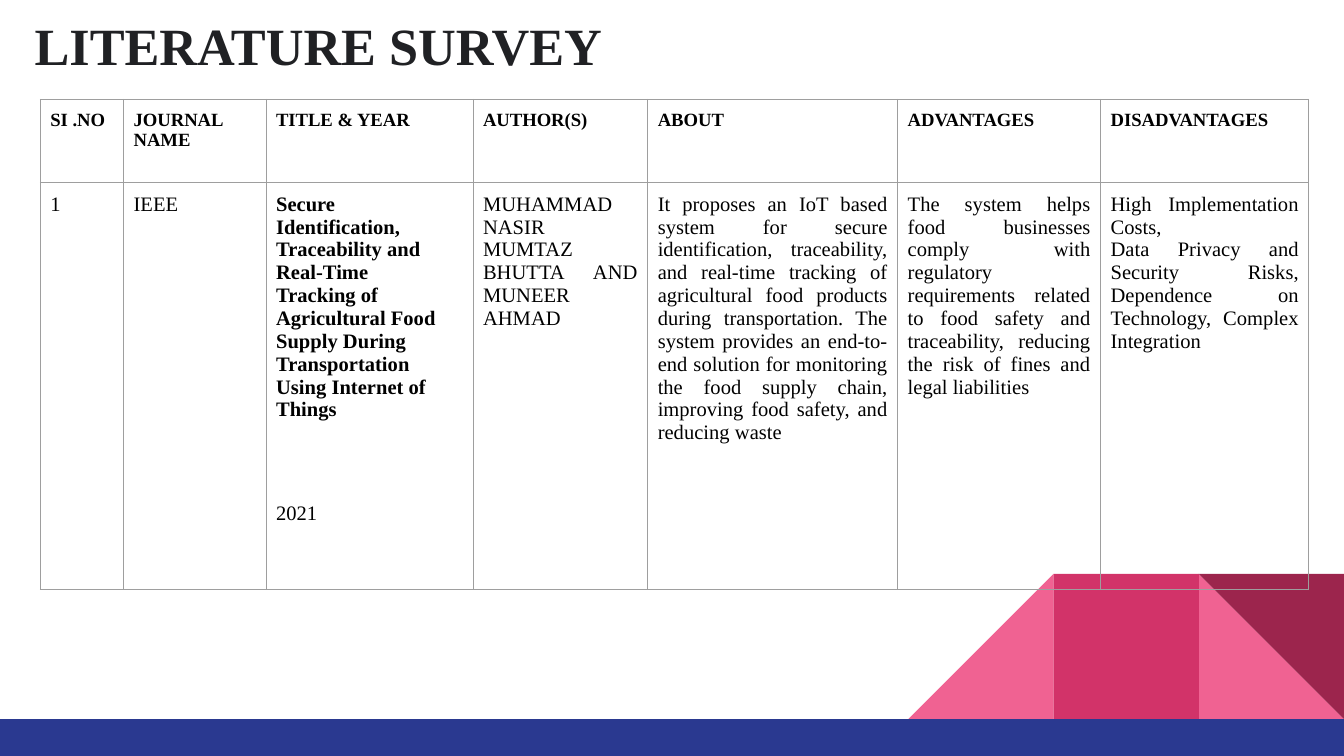
from lxml import etree
from pptx import Presentation
from pptx.dml.color import RGBColor
from pptx.enum.shapes import MSO_SHAPE
from pptx.enum.text import MSO_ANCHOR, PP_ALIGN
from pptx.oxml.ns import qn
from pptx.util import Inches, Pt

RECTANGLE, TRIANGLE = MSO_SHAPE.RECTANGLE, MSO_SHAPE.RIGHT_TRIANGLE
LEFT, JUSTIFY = PP_ALIGN.LEFT, PP_ALIGN.JUSTIFY
TOP = MSO_ANCHOR.TOP

COLORS = {
    "title": "202124", "text": "000000", "border": "9E9E9E",
    "pink": "F06292", "rose": "D23369", "wine": "9C254D", "blue": "2A3990",
}
FONT = "Times New Roman"
WIDTH = 10
HEIGHT = WIDTH * 9 / 16

TITLE = "LITERATURE SURVEY"
HEADERS = ["SI .NO", "JOURNAL NAME", "TITLE & YEAR", "AUTHOR(S)", "ABOUT",
           "ADVANTAGES", "DISADVANTAGES"]
PAPER_TITLE = [
    "Secure Identification, Traceability and Real-Time",
    "Tracking of Agricultural Food Supply During",
    "Transportation Using Internet of Things",
]
YEAR = "2021"
ENTRY = [
    ["1"],
    ["IEEE"],
    PAPER_TITLE + [YEAR],
    ["MUHAMMAD NASIR MUMTAZ BHUTTA AND MUNEER AHMAD"],
    ["It proposes an IoT based system for secure identification, traceability, "
     "and real-time tracking of agricultural food products during "
     "transportation. The system provides an end-to-end solution for monitoring "
     "the food supply chain, improving food safety, and reducing waste"],
    ["The system helps food businesses comply with regulatory requirements "
     "related to food safety and traceability, reducing the risk of fines and "
     "legal liabilities"],
    ["High Implementation Costs,",
     "Data Privacy and Security Risks, Dependence on Technology, "
     "Complex Integration"],
]
COLUMN_WIDTHS = [0.62, 1.06, 1.54, 1.3, 1.86, 1.51, 1.55]
ROW_HEIGHTS = [0.62, 3.03]
TABLE_LEFT, TABLE_TOP = 0.3, 0.74
CELL_MARGIN = Pt(5.4)
YEAR_GAP = Pt(43.5)

TILE, BAR_TOP = 1.08, 5.35
# kind, colour, column counted from the left, rotation, mirrored
TILES = [
    (TRIANGLE, "pink", 2, 0, False),
    (TRIANGLE, "pink", 0, 0, True),
    (RECTANGLE, "rose", 1, 0, False),
    (TRIANGLE, "wine", 2, 180, False),
]


def color(name):
    return RGBColor.from_string(COLORS[name])


def add_block(slide, kind, fill, left, top, width, height):
    block = slide.shapes.add_shape(
        kind, Inches(left), Inches(top), Inches(width), Inches(height))
    block.shadow.inherit = False
    block.fill.solid()
    block.fill.fore_color.rgb = color(fill)
    block.line.fill.background()
    return block


def add_decoration(slide):
    for kind, fill, column, rotation, mirrored in TILES:
        left = WIDTH - (3 - column) * TILE
        tile = add_block(slide, kind, fill, left, BAR_TOP - TILE, TILE, TILE)
        tile.rotation = rotation
        if mirrored:
            tile._element.spPr.find(qn("a:xfrm")).set("flipH", "1")
    add_block(slide, RECTANGLE, "blue", 0, BAR_TOP, WIDTH, HEIGHT - BAR_TOP)


def set_margins(frame, margin):
    frame.margin_left = frame.margin_right = margin
    frame.margin_top = frame.margin_bottom = margin


def style_paragraph(paragraph, size, bold, fill, alignment=LEFT):
    paragraph.alignment = alignment
    font = paragraph.font
    font.name, font.size, font.bold = FONT, Pt(size), bold
    font.color.rgb = color(fill)


def add_title(slide):
    box = slide.shapes.add_textbox(
        Inches(0.16), Inches(0), Inches(9.32), Inches(0.66))
    frame = box.text_frame
    frame.word_wrap = True
    frame.vertical_anchor = TOP
    set_margins(frame, Inches(0.1))
    frame.text = TITLE
    style_paragraph(frame.paragraphs[0], 28, True, "title")


def add_borders(cell):
    properties = cell._tc.get_or_add_tcPr()
    for position, side in enumerate(("lnL", "lnR", "lnT", "lnB")):
        line = etree.Element(qn(f"a:{side}"), w=str(Pt(0.6)))
        fill = etree.SubElement(line, qn("a:solidFill"))
        etree.SubElement(fill, qn("a:srgbClr"), val=COLORS["border"])
        properties.insert(position, line)


def fill_cell(cell, texts, is_header):
    cell.fill.background()
    add_borders(cell)
    cell.vertical_anchor = TOP
    set_margins(cell, CELL_MARGIN)
    cell.text = "\n".join(texts)
    for paragraph, text in zip(cell.text_frame.paragraphs, texts):
        bold = is_header or text in PAPER_TITLE
        style_paragraph(paragraph, 10 if is_header else 11, bold, "text",
                        LEFT if bold else JUSTIFY)
        if text == YEAR:
            paragraph.space_before = YEAR_GAP


def add_survey_table(slide):
    rows = [[[header] for header in HEADERS], ENTRY]
    table = slide.shapes.add_table(
        len(rows), len(HEADERS), Inches(TABLE_LEFT), Inches(TABLE_TOP),
        Inches(sum(COLUMN_WIDTHS)), Inches(sum(ROW_HEIGHTS))).table
    table.first_row = table.horz_banding = False
    for column, width in zip(table.columns, COLUMN_WIDTHS):
        column.width = Inches(width)
    for row, height, contents in zip(table.rows, ROW_HEIGHTS, rows):
        row.height = Inches(height)
        for cell, texts in zip(row.cells, contents):
            fill_cell(cell, texts, contents is rows[0])


def main():
    deck = Presentation()
    deck.slide_width, deck.slide_height = Inches(WIDTH), Inches(HEIGHT)
    slide = deck.slides.add_slide(deck.slide_layouts[6])
    add_decoration(slide)
    add_title(slide)
    add_survey_table(slide)
    deck.save("out.pptx")


if __name__ == "__main__":
    main()
